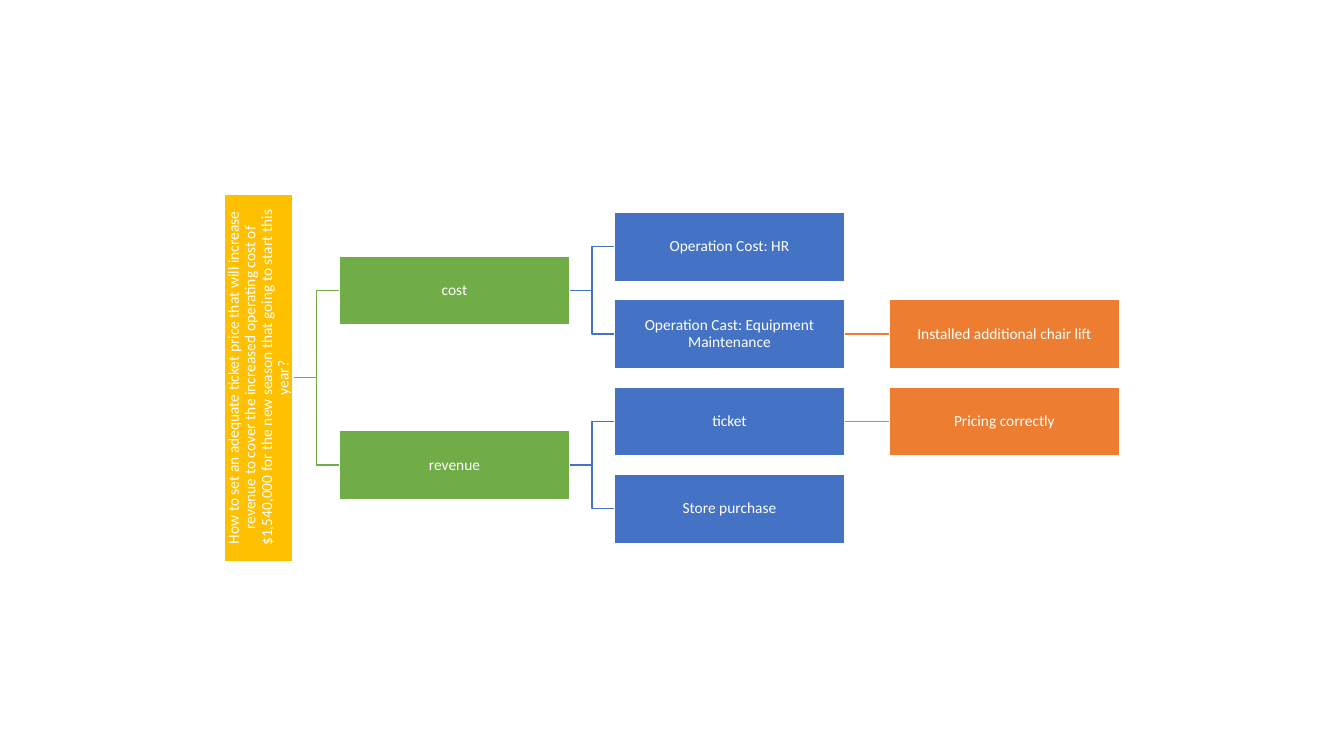
from pptx import Presentation
from pptx.dml.color import RGBColor
from pptx.enum.shapes import MSO_CONNECTOR as LINE, MSO_SHAPE as SHAPE
from pptx.enum.text import MSO_ANCHOR as ANCHOR, PP_ALIGN as ALIGN
from pptx.oxml.ns import qn
from pptx.util import Cm, Pt
from lxml.etree import SubElement

COLORS = {"gold": "FFC000", "green": "70AD47", "blue": "4472C4",
          "orange": "ED7D31", "white": "FFFFFF"}
LEVEL_COLORS = ["gold", "green", "blue", "orange"]

BOX_WIDTH, BOX_HEIGHT = 5.79, 1.74
ROOT_LENGTH, ROOT_CENTER = 9.27, 6.52
FIRST_COLUMN, COLUMN_STEP = 8.56, 6.93
FIRST_ROW, ROW_STEP = 6.22, 2.2

QUESTION = ("How to set an adequate ticket price that will increase revenue "
            "to cover the increased operating cost of $1,540,000 for the new "
            "season that going to start this year?")
TREE = (QUESTION, [
    ("cost", [
        ("Operation Cost: HR", []),
        ("Operation Cast: Equipment Maintenance",
         [("Installed additional chair lift", [])]),
    ]),
    ("revenue", [
        ("ticket", [("Pricing correctly", [])]),
        ("Store purchase", []),
    ]),
])


def apply(target, values):
    for name, value in values.items():
        setattr(target, name, value)


class Painter:
    font = {"name": "Calibri", "size": Pt(11)}
    paragraph = {"alignment": ALIGN.CENTER, "line_spacing": 0.9,
                 "space_after": Pt(3.85)}
    frame = {"word_wrap": True, "vertical_anchor": ANCHOR.MIDDLE,
             "margin_left": Cm(0.02), "margin_right": Cm(0.02),
             "margin_top": Cm(0.02), "margin_bottom": Cm(0.02)}

    def __init__(self, slide):
        self.slide = slide

    def color(self, name):
        return RGBColor.from_string(COLORS[name])

    def outline(self, line, color):
        line.color.rgb = self.color(color)
        line.width = Pt(1)

    def box(self, text, center, middle, width, color, rotation=0):
        box = self.slide.shapes.add_shape(
            SHAPE.RECTANGLE, Cm(center - width / 2),
            Cm(middle - BOX_HEIGHT / 2), Cm(width), Cm(BOX_HEIGHT))
        box.rotation = rotation
        box.shadow.inherit = False
        box.fill.solid()
        box.fill.fore_color.rgb = self.color(color)
        self.outline(box.line, "white")
        apply(box.text_frame, self.frame)
        para = box.text_frame.paragraphs[0]
        apply(para, self.paragraph)
        span = para.add_run()
        span.text = text
        apply(span.font, self.font)
        span.font.color.rgb = self.color("white")

    def branch(self, left, start, right, end, color):
        kind = LINE.STRAIGHT if start == end else LINE.ELBOW
        branch = self.slide.shapes.add_connector(
            kind, Cm(left), Cm(start), Cm(right), Cm(end))
        self.outline(branch.line, color)
        SubElement(branch._element.spPr, qn("a:effectLst"))


def column_left(level):
    return FIRST_COLUMN + (level - 1) * COLUMN_STEP


def row_middle(row):
    return FIRST_ROW + row * ROW_STEP


def arrange(node, level=0, first_row=0):
    text, children = node
    placed, rows, next_row = [], [], first_row
    for child in children:
        row, next_row, below = arrange(child, level + 1, next_row)
        rows.append(row)
        placed += below
    if not children:
        rows, next_row = [first_row], first_row + 1
    row = (rows[0] + rows[-1]) / 2
    child_rows = rows if children else []
    return row, next_row, [(text, level, row, child_rows)] + placed


deck = Presentation()
deck.slide_width, deck.slide_height = Cm(33.87), Cm(19.05)
painter = Painter(deck.slides.add_slide(deck.slide_layouts[6]))
nodes = arrange(TREE)[2]

for text, level, row, child_rows in nodes:
    right = column_left(level) + BOX_WIDTH if level else ROOT_CENTER + BOX_HEIGHT / 2
    for child_row in child_rows:
        painter.branch(right, row_middle(row), column_left(level + 1),
                       row_middle(child_row), LEVEL_COLORS[level + 1])

for text, level, row, child_rows in nodes:
    color = LEVEL_COLORS[level]
    if level:
        center = column_left(level) + BOX_WIDTH / 2
        painter.box(text, center, row_middle(row), BOX_WIDTH, color)
    else:
        painter.box(text, ROOT_CENTER, row_middle(row), ROOT_LENGTH, color, 270)

deck.save("out.pptx")
